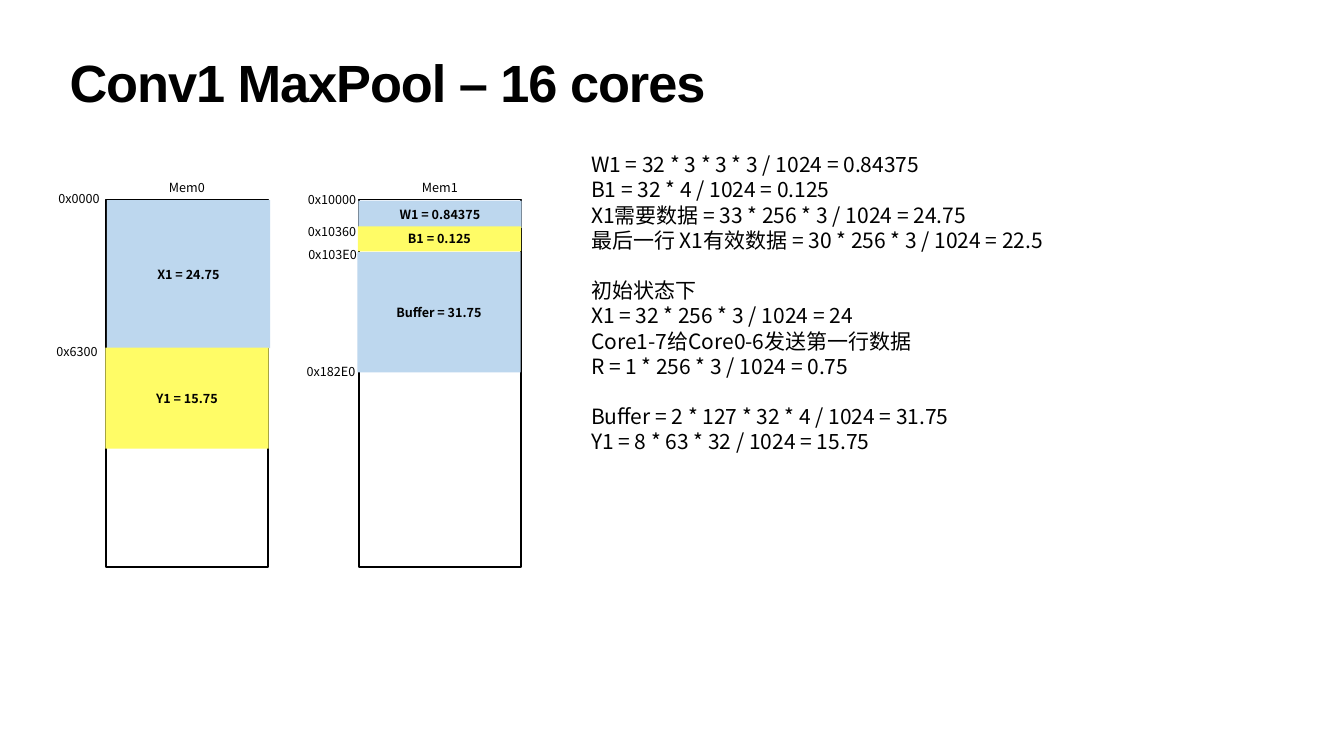
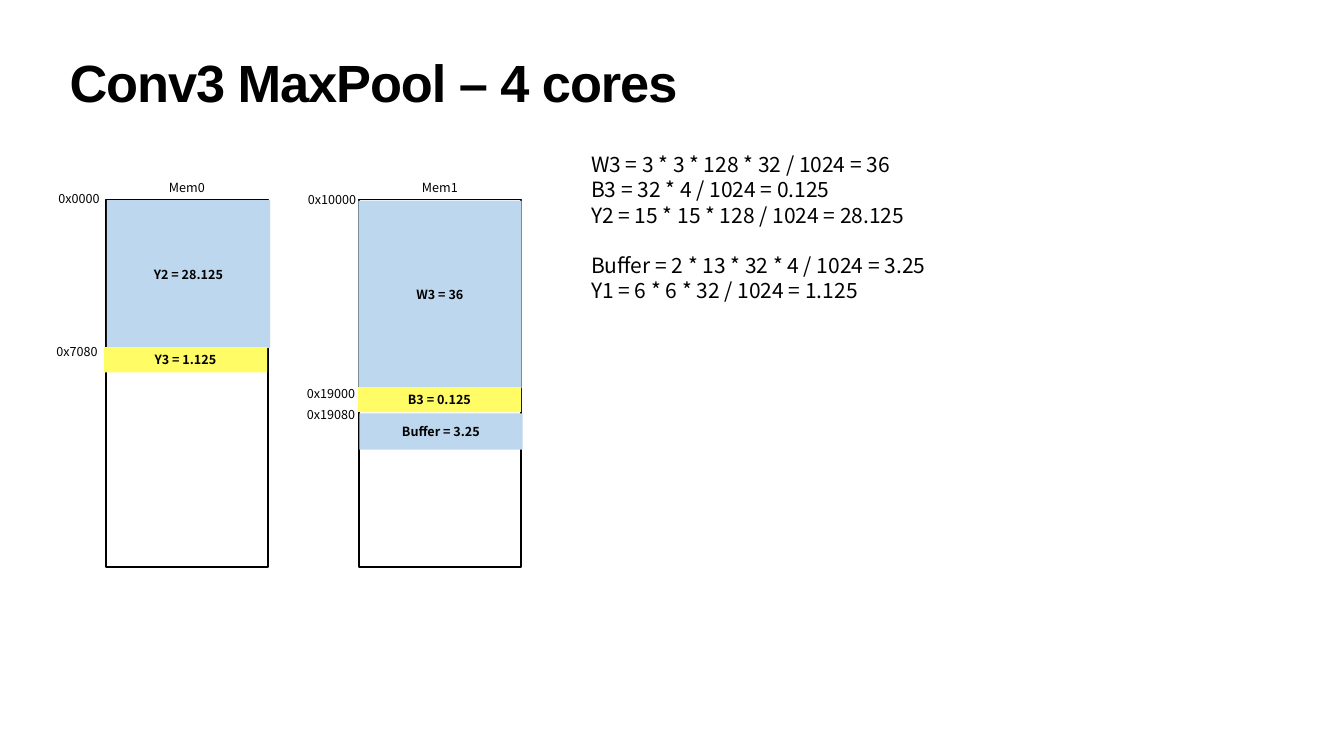
import pptx
import pptx.util
import pptx.dml.color
import pptx.enum.shapes
import pptx.enum.text
from dataclasses import dataclass

PX = 9144  # 100 px to the inch


def rgb(value):
    return pptx.dml.color.RGBColor.from_string(value)


@dataclass(frozen=True)
class Theme:
    ink = rgb("000000")
    blue = rgb("BDD7EE")
    yellow = rgb("FFFC66")
    title_font = "Arial"
    body_font = "Noto Sans CJK SC"
    title_size = 74.8
    body_size = 30
    label_size = 18
    leading = 1.2
    frame_line = 2.25


T = Theme()
ANCHOR = pptx.enum.text.MSO_ANCHOR
ALIGN = pptx.enum.text.PP_ALIGN
RECT = pptx.enum.shapes.MSO_SHAPE.RECTANGLE


def px(*lengths):
    return [pptx.util.Emu(n * PX) for n in lengths]


def set_margins(tf, margin):
    tf.margin_left = tf.margin_right = tf.margin_top = tf.margin_bottom = px(margin)[0]


def write(p, text, size, bold=False, align=ALIGN.LEFT):
    p.text = text
    p.alignment = align
    p.line_spacing = pptx.util.Pt(size * T.leading)
    p.font.name = T.body_font
    p.font.size = pptx.util.Pt(size)
    p.font.bold = bold
    p.font.color.rgb = T.ink


def add_title(s, box, text):
    tf = s.shapes.add_textbox(*px(*box)).text_frame
    tf.word_wrap = True
    set_margins(tf, 6)
    p = tf.paragraphs[0]
    p.line_spacing = 0.8
    r = p.add_run()
    r.text = text
    p.font.name = T.title_font
    p.font.size = pptx.util.Pt(T.title_size)
    p.font.bold = True
    p.font.color.rgb = T.ink
    r._r.get_or_add_rPr().set("spc", "-150")


def add_label(s, x, y, text):
    tf = s.shapes.add_textbox(*px(x, y, 110, 40)).text_frame
    tf.word_wrap = False
    set_margins(tf, 5)
    write(tf.paragraphs[0], text, T.label_size, align=ALIGN.CENTER)


def add_rect(s, box):
    sp = s.shapes.add_shape(RECT, *px(*box))
    sp.shadow.inherit = False
    return sp


def add_segment(s, box, text, color):
    sp = add_rect(s, box)
    sp.fill.solid()
    sp.fill.fore_color.rgb = color
    sp.line.fill.background()
    tf = sp.text_frame
    tf.word_wrap = True
    tf.vertical_anchor = ANCHOR.MIDDLE
    set_margins(tf, 5)
    write(tf.paragraphs[0], text, T.label_size, bold=True, align=ALIGN.CENTER)


def add_memory(s, box, name, segments, addresses):
    """Memory frame with stacked segments and the addresses on its left."""
    x, y, w, h = box
    add_label(s, x + (w - 110) // 2, y - 43, name)
    frame = add_rect(s, box)
    frame.fill.background()
    frame.line.color.rgb = T.ink
    frame.line.width = pptx.util.Pt(T.frame_line)
    for text, dx, dy, height, color in segments:
        add_segment(s, (x + dx, y + dy, 324, height), text, color)
    for text, dx, dy in addresses:
        add_label(s, x + dx, y + dy, text)


def add_sizes(s, box, groups):
    """Size formulas, with one line of space between groups."""
    x, y, w = box
    height = round(sum(len(g) + 1 for g in groups) - 1) * T.body_size * T.leading * 100 / 72
    tf = s.shapes.add_textbox(*px(x, y, w, round(height) + 10)).text_frame
    tf.word_wrap = True
    set_margins(tf, 5)
    for i, group in enumerate(groups):
        for j, line in enumerate(group):
            p = tf.add_paragraph() if i or j else tf.paragraphs[0]
            write(p, line, T.body_size)
            if i and not j:
                p.space_before = pptx.util.Pt(T.body_size * T.leading)


def add_layer_slide(prs, title, mem0, mem1, sizes):
    s = prs.slides.add_slide(prs.slide_layouts[6])
    add_title(s, (132, 118, 2403, 157), title)
    add_memory(s, (210, 396, 322, 729), "Mem0", *mem0)
    add_memory(s, (712, 396, 322, 729), "Mem1", *mem1)
    add_sizes(s, (1168, 296, 1330), sizes)


def main():
    prs = pptx.Presentation()
    prs.slide_width, prs.slide_height = px(2667, 1500)

    # Segments: text, dx, dy, height, colour. Addresses: text, dx, dy.
    add_layer_slide(
        prs, "Conv1 MaxPool – 16 cores",
        mem0=([("X1 = 24.75", 2, 1, 294, T.blue),
               ("Y1 = 15.75", -1, 294, 200, T.yellow)],
              [("0x0000", -108, -22), ("0x6300", -112, 282)]),
        mem1=([("W1 = 0.84375", -1, 2, 54, T.blue),
               ("B1 = 0.125", -2, 53, 50, T.yellow),
               ("Buffer = 31.75", -3, 104, 239, T.blue)],
              [("0x10000", -108, -21), ("0x10360", -108, 43),
               ("0x103E0", -107, 90), ("0x182E0", -110, 322)]),
        sizes=[["W1 = 32 * 3 * 3 * 3 / 1024 = 0.84375",
                "B1 = 32 * 4 / 1024 = 0.125",
                "X1需要数据 = 33 * 256 * 3 / 1024 = 24.75",
                "最后一行 X1有效数据 = 30 * 256 * 3 / 1024 = 22.5"],
               ["初始状态下",
                "X1 = 32 * 256 * 3 / 1024 = 24",
                "Core1-7给Core0-6发送第一行数据",
                "R = 1 * 256 * 3 / 1024 = 0.75"],
               ["Buffer = 2 * 127 * 32 * 4 / 1024 = 31.75",
                "Y1 = 8 * 63 * 32 / 1024 = 15.75"]])

    add_layer_slide(
        prs, "Conv3 MaxPool – 4 cores",
        mem0=([("Y2 = 28.125", 2, 1, 294, T.blue),
               ("Y3 = 1.125", -4, 293, 50, T.yellow)],
              [("0x0000", -108, -22), ("0x7080", -112, 282)]),
        mem1=([("W3 = 36", -1, 2, 372, T.blue),
               ("B3 = 0.125", -2, 372, 50, T.yellow),
               ("Buffer = 3.25", 1, 424, 72, T.blue)],
              [("0x10000", -108, -21), ("0x19000", -110, 364),
               ("0x19080", -110, 406)]),
        sizes=[["W3 = 3 * 3 * 128 * 32 / 1024 = 36",
                "B3 = 32 * 4 / 1024 = 0.125",
                "Y2 = 15 * 15 * 128 / 1024 = 28.125"],
               ["Buffer = 2 * 13 * 32 * 4 / 1024 = 3.25",
                "Y1 = 6 * 6 * 32 / 1024 = 1.125"]])

    prs.save("out.pptx")


if __name__ == "__main__":
    main()
